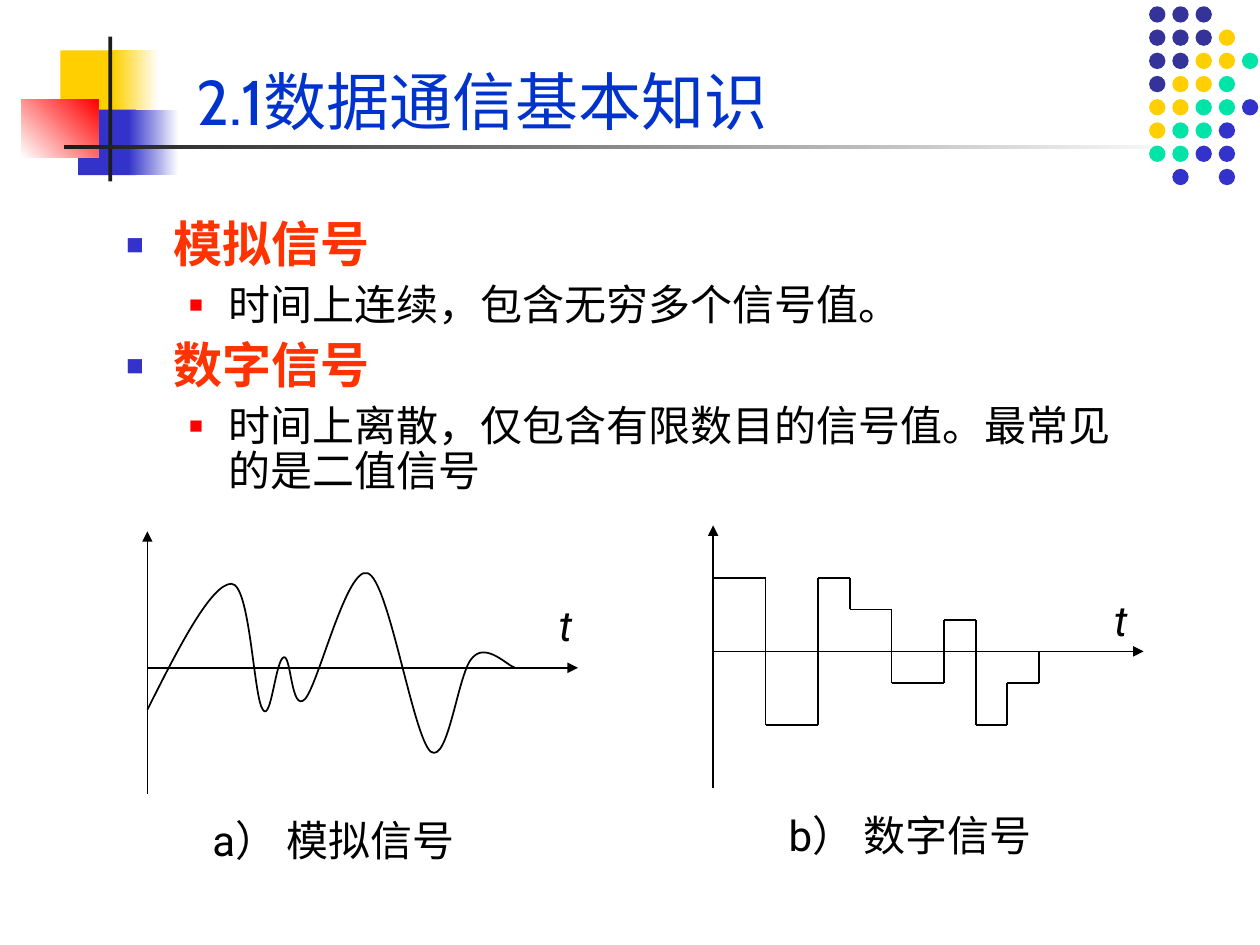
import pptx
import pptx.dml.color
import pptx.enum.shapes
import pptx.enum.text
import pptx.oxml
import pptx.oxml.ns
import pptx.util

THEME = {
    "yellow": "FFCF01", "blue": "3333CC", "navy": "333399", "green": "00E4A8",
    "red": "FF0000", "white": "FFFFFF", "dark": "1C1C1C", "black": "000000",
    "title": "0033CC", "accent": "FF3300",
    "title_size": 36, "topic_size": 28, "text_size": 24,
    "font": "Cabin", "label_font": "Roboto", "line": 1,
}
UNIT = pptx.util.Inches(1) / 12  # grid step of both signal plots

prs = pptx.Presentation()
prs.slide_width, prs.slide_height = pptx.util.Inches(10), pptx.util.Inches(7.5)
slide = prs.slides.add_slide(prs.slide_layouts[1])
shapes = slide.shapes
qn = pptx.oxml.ns.qn


def rgb(name):
    return pptx.dml.color.RGBColor.from_string(THEME[name])


def add_line(x1, y1, x2, y2, arrow=False):
    """Draw a thin black line, with an arrowhead at its end if asked."""
    s = shapes.add_connector(pptx.enum.shapes.MSO_CONNECTOR.STRAIGHT,
                             round(x1), round(y1), round(x2), round(y2))
    s.line.color.rgb = rgb("black")
    s.line.width = pptx.util.Pt(THEME["line"])
    if arrow:
        s.line._get_or_add_ln().append(pptx.oxml.parse_xml(
            f'<a:tailEnd {pptx.oxml.ns.nsdecls("a")} type="triangle"/>'))
    s._element.spPr.append(pptx.oxml.parse_xml(
        f'<a:effectLst {pptx.oxml.ns.nsdecls("a")}/>'))


# Corner blocks, rule and dots: kind, left, top, width, height, colours, angle
RECT = pptx.enum.shapes.MSO_SHAPE.RECTANGLE
DOT = pptx.enum.shapes.MSO_SHAPE.OVAL
decor = [
    (RECT, 0.48, 0.4, 0.48, 0.52, ["yellow"], 0),
    (RECT, 0.9, 0.4, 0.36, 0.52, ["yellow", "white"], 0),
    (RECT, 0.62, 0.87, 0.46, 0.52, ["blue"], 0),
    (RECT, 1.02, 0.87, 0.4, 0.52, ["blue", "white"], 0),
    (RECT, 0.17, 0.79, 0.61, 0.46, ["white", "red"], 45),
    (RECT, 0.86, 0.29, 0.03, 1.15, ["dark"], 0),
    (RECT, 0.51, 1.15, 9, 0.03, ["dark", "white"], 0),
]
dot_colors = {"n": "navy", "y": "yellow", "g": "green", "b": "blue"}
dot_rows = ["nnn", "nnny", "nnyyg", "nyyg", "yyggb", "yggb", "ggbb", " b b"]
dot_pitch = 1.29 / 7
for row, line in enumerate(dot_rows):
    for col, key in enumerate(line):
        if key in dot_colors:
            decor.append((DOT, 9.12 + col * dot_pitch, 0.05 + row * dot_pitch,
                          0.13, 0.13, [dot_colors[key]], 0))

for kind, *box, colors, angle in decor:
    s = shapes.add_shape(kind, *[pptx.util.Inches(v) for v in box])
    s.shadow.inherit = False
    s.line.fill.background()
    if len(colors) == 1:
        s.fill.solid()
        s.fill.fore_color.rgb = rgb(colors[0])
    else:
        s.fill.gradient()
        s.fill.gradient_angle = angle
        for stop, color in zip(s.fill.gradient_stops, colors):
            stop.color.rgb = rgb(color)

# Title
title = shapes.title
title.left, title.top, title.width, title.height = [
    pptx.util.Inches(v) for v in (1.46, 0.28, 7.32, 0.87)]
tf = title.text_frame
tf.text = "2.1数据通信基本知识"
tf.auto_size = pptx.enum.text.MSO_AUTO_SIZE.NONE
tf.vertical_anchor = pptx.enum.text.MSO_ANCHOR.BOTTOM
p = tf.paragraphs[0]
p.alignment = pptx.enum.text.PP_ALIGN.LEFT
r = p.runs[0]
r.font.name = THEME["font"]
r.font.size = pptx.util.Pt(THEME["title_size"])
r.font.color.rgb = rgb("title")

# Bulleted list: per level margin, hanging indent, bullet, text style
levels = [
    (0.38, 0.38, "blue", 60, 7, "topic_size", "accent", True),
    (0.81, 0.31, "red", 55, 6, "text_size", "black", False),
]
items = [
    (0, "模拟信号"),
    (1, "时间上连续，包含无穷多个信号值。"),
    (0, "数字信号"),
    (1, "时间上离散，仅包含有限数目的信号值。最常见的是二值信号"),
]
body = slide.placeholders[1]
body.left, body.top, body.width, body.height = [
    pptx.util.Inches(v) for v in (0.9, 1.7, 8.19, 2.28)]
tf = body.text_frame
tf.auto_size = pptx.enum.text.MSO_AUTO_SIZE.NONE
for i, (level, text) in enumerate(items):
    margin, hang, bullet, percent, before, size, color, bold = levels[level]
    p = tf.paragraphs[0] if i == 0 else tf.add_paragraph()
    p.text = text
    p.level = level
    pPr = p._p.get_or_add_pPr()
    pPr.set("marL", str(pptx.util.Inches(margin)))
    pPr.set("indent", str(-pptx.util.Inches(hang)))
    for xml in (f'<a:buClr %s><a:srgbClr val="{THEME[bullet]}"/></a:buClr>',
                f'<a:buSzPct %s val="{percent * 1000}"/>',
                '<a:buChar %s char="■"/>'):
        pPr.append(pptx.oxml.parse_xml(xml % pptx.oxml.ns.nsdecls("a")))
    p.line_spacing = 0.9
    p.space_before = pptx.util.Pt(before if i else 0)
    r = p.runs[0]
    r.font.name = THEME["font"]
    r.font.size = pptx.util.Pt(THEME[size])
    r.font.color.rgb = rgb(color)
    r.font.bold = bold

# Axes and labels; label places are grid steps right of and below the origin
plots = [
    (1.17, 5.3, 13, 12, (38, -7.1), (5, 13.4), "a） 模拟信号"),
    (5.66, 5.17, 12, 13, (37, -6), (6, 14.5), "b） 数字信号"),
]
for x, y, up, down, t_at, caption_at, caption in plots:
    x, y = pptx.util.Inches(x), pptx.util.Inches(y)
    add_line(x, y + down * UNIT, x, y - up * UNIT, arrow=True)
    add_line(x, y, x + 41 * UNIT, y, arrow=True)
    for text, (dx, dy), width, italic in (("t", t_at, 5, True),
                                          (caption, caption_at, 28, False)):
        s = shapes.add_textbox(round(x + dx * UNIT), round(y + dy * UNIT),
                               round(width * UNIT), round(6 * UNIT))
        tf = s.text_frame
        tf.word_wrap = True
        tf.text = text
        r = tf.paragraphs[0].runs[0]
        r.font.name = THEME["label_font"]
        r.font.size = pptx.util.Pt(THEME["text_size"])
        r.font.color.rgb = rgb("black")
        r.font.italic = italic

# Analog signal: start point, then three Bezier points per segment
wave = [
    (0, -4),
    (3, 2), (6.1, 8), (8, 8),
    (9.8, 8), (10.1, -2.8), (11, -4),
    (11.8, -5.2), (12.2, 0.8), (13, 1),
    (13.7, 1.2), (13.7, -4.3), (15, -3),
    (16.3, -1.6), (19, 9.8), (21, 9),
    (23, 8.3), (25.3, -6.6), (27, -8),
    (28.7, -9.2), (29.6, -0.2), (31, 1),
    (32.3, 2.4), (34.3, 0.2), (35, 0),
]
x0, y0 = [pptx.util.Inches(v) for v in plots[0][:2]]
points = [(round(x0 + x * UNIT), round(y0 - y * UNIT)) for x, y in wave]
builder = shapes.build_freeform(*points[0])
builder.add_line_segments(points[1:], close=False)
s = builder.convert_to_shape()
s.shadow.inherit = False
s.fill.background()
s.line.color.rgb = rgb("black")
s.line.width = pptx.util.Pt(THEME["line"])
path = s._element.find(".//" + qn("a:path"))
segments = path.findall(qn("a:lnTo"))
for i in range(0, len(segments), 3):
    curve = path.makeelement(qn("a:cubicBezTo"))
    path.append(curve)
    for segment in segments[i:i + 3]:
        curve.append(segment[0])
        path.remove(segment)

# Digital signal: grid column where each level ends, and the level
steps = [(5, 7), (10, -7), (13, 7), (17, 4), (22, -3), (25, 3), (28, -7), (31, -3)]
x0, y0 = [pptx.util.Inches(v) for v in plots[1][:2]]
start = 0
for i, (end, level) in enumerate(steps):
    following = steps[i + 1][1] if i + 1 < len(steps) else 0
    left, right = x0 + start * UNIT, x0 + end * UNIT
    add_line(left, y0 - level * UNIT, right, y0 - level * UNIT)
    add_line(right, y0 - level * UNIT, right, y0 - following * UNIT)
    start = end

prs.save("out.pptx")
